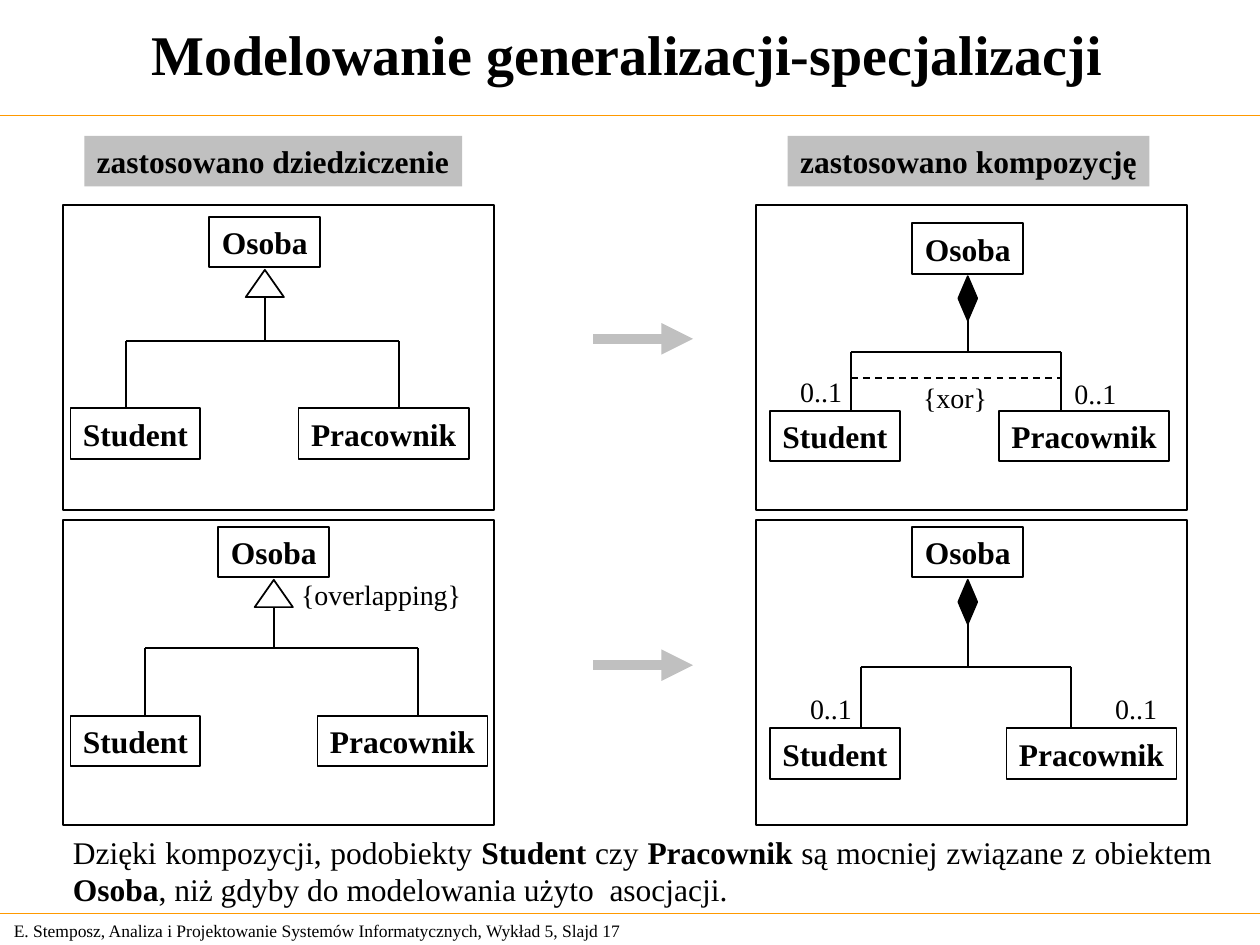
"""Builds the slide on modelling generalization-specialization."""
from pptx import Presentation
from pptx.dml.color import RGBColor
from pptx.enum.dml import MSO_LINE
from pptx.enum.shapes import MSO_CONNECTOR, MSO_SHAPE
from pptx.enum.text import MSO_ANCHOR, MSO_AUTO_SIZE, PP_ALIGN
from pptx.oxml.ns import qn
from pptx.util import Cm, Pt
from lxml.etree import SubElement

BLACK = RGBColor(0x00, 0x00, 0x00)
GREY = RGBColor(0xC0, 0xC0, 0xC0)
ORANGE = RGBColor(0xFF, 0x99, 0x00)

CLASS_WIDTHS = {"Osoba": 2.24, "Student": 2.62, "Pracownik": 3.43}
CLASS_HEIGHT = 1.02
PANEL_SIZE = (8.69, 6.15)
LEFT_COLUMN, RIGHT_COLUMN = 1.27, 15.24
TOP_ROW, BOTTOM_ROW = 4.14, 10.49
INHERITANCE = (MSO_SHAPE.ISOSCELES_TRIANGLE, 0.77, 0.55, None)
COMPOSITION = (MSO_SHAPE.DIAMOND, 0.38, 0.89, BLACK)


def write(frame, text, size=18, bold=False, align=PP_ALIGN.LEFT,
          anchor=MSO_ANCHOR.TOP, wrap=False, font="Times New Roman"):
    frame.word_wrap = wrap
    frame.auto_size = MSO_AUTO_SIZE.NONE
    frame.vertical_anchor = anchor
    paragraph = frame.paragraphs[0]
    paragraph.alignment = align
    for index, part in enumerate(text.split("*")):
        run = paragraph.add_run()
        run.text = part
        run.font.name = font
        run.font.size = Pt(size)
        run.font.bold = bold or index % 2 == 1
        run.font.color.rgb = BLACK


class UmlSlide:
    def __init__(self, slide, stroke=1):
        self.slide = slide
        self.stroke = stroke

    def title(self, text, left, top, width, height):
        heading = self.slide.shapes.title
        heading.left, heading.top = Cm(left), Cm(top)
        heading.width, heading.height = Cm(width), Cm(height)
        write(heading.text_frame, text, size=32, bold=True, wrap=True,
              align=PP_ALIGN.CENTER, anchor=MSO_ANCHOR.MIDDLE)

    def label(self, text, left, top, width, height=0.94, **style):
        box = self.slide.shapes.add_textbox(
            Cm(left), Cm(top), Cm(width), Cm(height))
        write(box.text_frame, text, **{"size": 16, **style})

    def shape(self, kind, left, top, width, height, fill=None, outline=BLACK):
        figure = self.slide.shapes.add_shape(
            kind, Cm(left), Cm(top), Cm(width), Cm(height))
        figure.shadow.inherit = False
        if fill is None:
            figure.fill.background()
        else:
            figure.fill.solid()
            figure.fill.fore_color.rgb = fill
        if outline is None:
            figure.line.fill.background()
        else:
            figure.line.color.rgb = outline
            figure.line.width = Pt(self.stroke)
        return figure

    def header(self, text, left, width):
        band = self.shape(MSO_SHAPE.RECTANGLE, left, 2.74, width, CLASS_HEIGHT,
                          fill=GREY, outline=None)
        write(band.text_frame, text, bold=True)

    def class_box(self, name, left, top):
        box = self.shape(MSO_SHAPE.RECTANGLE, left, top,
                         CLASS_WIDTHS[name], CLASS_HEIGHT)
        write(box.text_frame, name, bold=True, align=PP_ALIGN.CENTER,
              anchor=MSO_ANCHOR.MIDDLE)

    def line(self, x1, y1, x2, y2, color=BLACK, width=None, dash=None,
             arrow=False):
        connector = self.slide.shapes.add_connector(
            MSO_CONNECTOR.STRAIGHT, Cm(x1), Cm(y1), Cm(x2), Cm(y2))
        connector.line.color.rgb = color
        connector.line.width = Pt(width or self.stroke)
        if dash:
            connector.line.dash_style = dash
        properties = connector._element.spPr
        if arrow:
            SubElement(properties.find(qn("a:ln")), qn("a:tailEnd"),
                       type="triangle")
        SubElement(properties, qn("a:effectLst"))

    def diagram(self, column, row, parent, student_x, employee_x, children_y,
                bar, marker):
        self.shape(MSO_SHAPE.RECTANGLE, column, row, *PANEL_SIZE)
        parent_x, parent_y = parent
        self.class_box("Osoba", parent_x, parent_y)
        self.class_box("Student", student_x, children_y)
        self.class_box("Pracownik", employee_x, children_y)

        kind, width, height, fill = marker
        axis = parent_x + CLASS_WIDTHS["Osoba"] / 2
        marker_y = parent_y + CLASS_HEIGHT + 0.05
        self.shape(kind, axis - width / 2, marker_y, width, height, fill)

        start, end, bar_y = bar
        self.line(axis, marker_y + height, axis, bar_y)
        self.line(start, bar_y, end, bar_y)
        for branch in (start, end):
            self.line(branch, bar_y, branch, children_y)


def main():
    deck = Presentation()
    deck.slide_width, deck.slide_height = Cm(25.4), Cm(19.05)
    page = UmlSlide(deck.slides.add_slide(deck.slide_layouts[5]))

    page.title("Modelowanie generalizacji-specjalizacji", 0, 0, 25.3, 2.16)
    for rule_y in (2.33, 18.41):
        page.line(0, rule_y, 25.4, rule_y, color=ORANGE, width=0.75)
    page.header("zastosowano dziedziczenie", 1.7, 7.62)
    page.header("zastosowano kompozycję", 15.88, 7.29)

    page.diagram(LEFT_COLUMN, TOP_ROW, (4.22, 4.37), 1.42, 6.02, 8.23,
                 (2.54, 8.05, 6.88), INHERITANCE)
    page.diagram(LEFT_COLUMN, BOTTOM_ROW, (4.4, 10.62), 1.42, 6.4, 14.43,
                 (2.93, 8.43, 13.06), INHERITANCE)
    page.diagram(RIGHT_COLUMN, TOP_ROW, (18.39, 4.5), 15.52, 20.14, 8.28,
                 (17.15, 21.39, 7.09), COMPOSITION)
    page.diagram(RIGHT_COLUMN, BOTTOM_ROW, (18.39, 10.62), 15.52, 20.29, 14.68,
                 (17.35, 21.59, 13.44), COMPOSITION)
    page.line(17.15, 7.62, 21.39, 7.62, dash=MSO_LINE.DASH)
    for arrow_y in (6.83, 13.41):
        page.line(11.96, arrow_y, 13.97, arrow_y, color=GREY, width=6,
                  arrow=True)

    for left, top in ((15.88, 7.42), (21.41, 7.47),
                      (16.08, 13.82), (22.23, 13.82)):
        page.label("0..1", left, top, 1.35)
    page.label("{xor}", 18.36, 7.54, 1.8)
    page.label("{overlapping}", 5.82, 11.51, 3.73)

    page.label("Dzięki kompozycji, podobiekty *Student* czy *Pracownik* są "
               "mocniej związane z obiektem *Osoba*, niż gdyby do modelowania "
               "użyto  asocjacji.", 1.22, 16.66, 23.47, 1.78,
               size=18, align=PP_ALIGN.JUSTIFY, wrap=True)
    page.label("E. Stemposz, Analiza i Projektowanie Systemów Informatycznych, "
               "Wykład 5, Slajd 17", 0.03, 18.42, 13.31, 0.68,
               size=10, anchor=MSO_ANCHOR.MIDDLE)
    deck.save("out.pptx")


if __name__ == "__main__":
    main()
